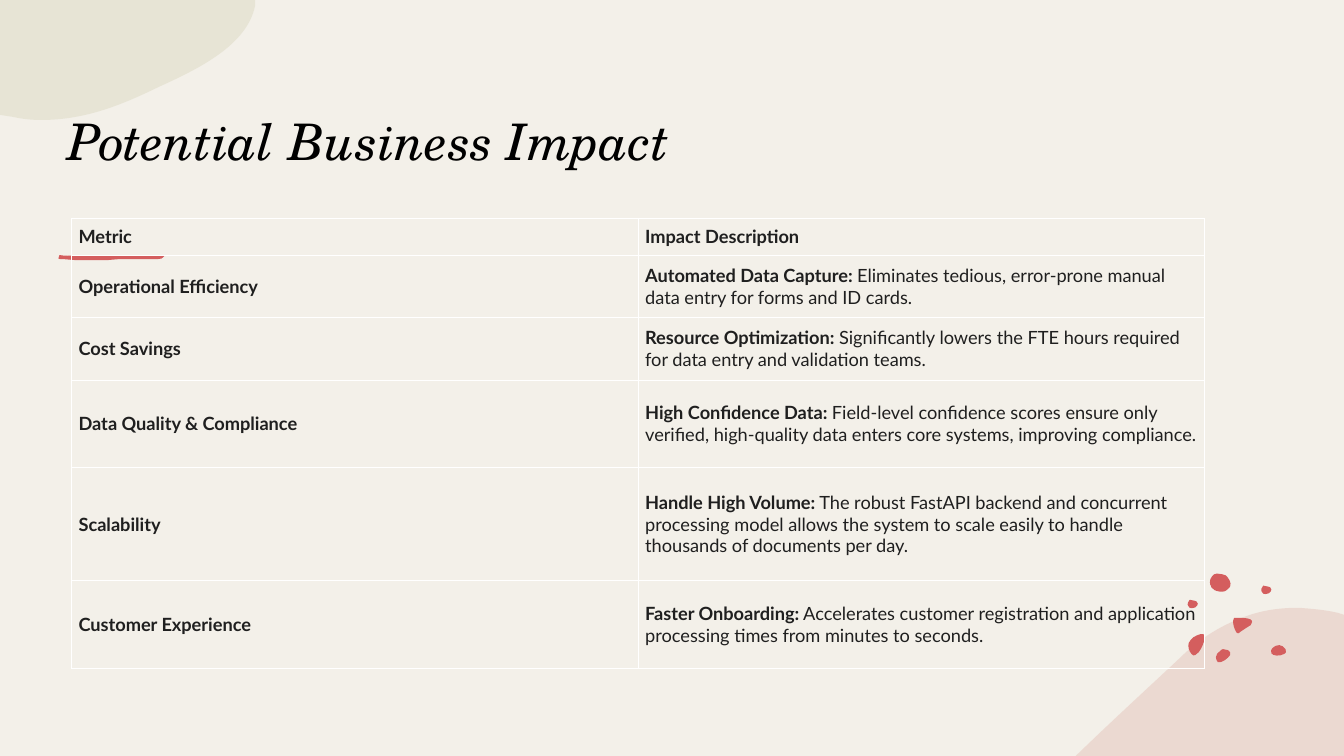
from lxml.etree import SubElement
from pptx import Presentation
from pptx.dml.color import RGBColor
from pptx.enum.text import MSO_ANCHOR as Anchor
from pptx.oxml import parse_xml
from pptx.oxml.ns import nsdecls, qn
from pptx.util import Pt

PX = 9144  # 100 px to the inch
WIDE, HIGH = 1333, 750

PAPER, INK, BLACK, WHITE = "F3F0E9", "1F1F1F", "000000", "FFFFFF"
RED, ROSE, OLIVE = "D45E5E", "E5C4BA", "DCD9C3"
BODY, HEAD = "Lato", "TeX Gyre Schola"

TITLE = "Potential Business Impact"
TITLE_BOX = (57, 18, 1102, 156)

TABLE_AT = (71, 217)
COLS = (562, 562)
ROWS = [  # height, metric, bold lead, description
    (36, "Metric", "Impact Description", ""),
    (62, "Operational Efficiency", "Automated Data Capture:",
     " Eliminates tedious, error-prone manual data entry for forms and ID cards."),
    (62, "Cost Savings", "Resource Optimization:",
     " Significantly lowers the FTE hours required for data entry and validation teams."),
    (87, "Data Quality & Compliance", "High Confidence Data:",
     " Field-level confidence scores ensure only verified, high-quality data enters "
     "core systems, improving compliance."),
    (112, "Scalability", "Handle High Volume:",
     " The robust FastAPI backend and concurrent processing model allows the system "
     "to scale easily to handle thousands of documents per day."),
    (87, "Customer Experience", "Faster Onboarding:",
     " Accelerates customer registration and application processing times from "
     "minutes to seconds."),
]

# Outlines: a pair is a corner, six numbers are a cubic curve.
HILL = [(1288, 603), (1301, 604, 1314, 605, 1327, 608), (1333, 610), (1333, 750),
        (1067, 750), (1068, 749), (1102, 716, 1137, 684, 1169, 654),
        (1191, 632, 1214, 619, 1237, 611), (1254, 605, 1271, 603, 1288, 603)]
CLOUD = [(0, 0), (253, 0), (253, 6), (245, 44, 200, 67, 158, 86),
         (123, 103, 86, 119, 41, 119), (31, 119, 22, 118, 13, 116), (0, 114)]
STROKE = [(59, 253), (64, 254, 70, 254, 75, 253), (88, 253), (111, 253), (133, 253),
          (164, 253), (161, 254, 163, 257, 157, 257), (119, 257), (107, 258), (86, 258),
          (75, 258), (71, 258, 65, 257, 60, 257), (57, 258, 58, 254, 59, 253)]
SPECK = [(0, 0), (1, 0), (1, 1)]
SPECKS_AT = [(58, 256), (60, 256), (163, 253)]
PEBBLE = [(0, 5), (0, 5, 0, 1, 2, 0), (4, 0, 5, 0, 7, 1), (8, 1, 10, 2, 10, 4),
          (10, 5, 9, 7, 8, 7), (8, 7, 8, 8, 6, 8), (5, 8, 3, 9, 2, 8), (1, 6, 0, 6, 0, 5)]
PEBBLES_AT = [(1251, 581), (1178, 595)]
DOTS = [
    [(1213, 644), (1215, 644, 1216, 644, 1218, 645), (1220, 646, 1221, 648, 1220, 650),
     (1218, 653, 1212, 658, 1208, 657), (1207, 656, 1206, 654, 1206, 652),
     (1206, 650, 1208, 647, 1210, 646), (1211, 645, 1212, 644, 1213, 644)],
    [(1191, 629), (1193, 629, 1195, 629, 1195, 631), (1195, 632, 1195, 632, 1195, 633),
     (1194, 638, 1192, 643, 1189, 647), (1187, 649, 1184, 652, 1182, 649),
     (1179, 646, 1178, 641, 1179, 638), (1180, 635, 1182, 634, 1184, 632),
     (1185, 632, 1188, 629, 1191, 629)],
    [(1269, 640), (1271, 640, 1274, 642, 1275, 644), (1276, 646, 1276, 648, 1273, 649),
     (1270, 651, 1262, 651, 1261, 648), (1260, 646, 1261, 644, 1262, 643),
     (1264, 641, 1266, 640, 1269, 640)],
    [(1201, 581), (1200, 581, 1199, 575, 1202, 572), (1204, 570, 1204, 569, 1207, 569),
     (1210, 569, 1214, 570, 1216, 571), (1218, 573, 1222, 578, 1220, 582),
     (1217, 585, 1216, 587, 1212, 587), (1209, 587, 1204, 586, 1203, 584),
     (1201, 583, 1201, 582, 1201, 581)],
    [(1228, 613), (1234, 613, 1245, 613, 1241, 619), (1241, 620, 1240, 621, 1239, 621),
     (1236, 623, 1233, 625, 1230, 627), (1229, 628, 1228, 629, 1227, 628),
     (1227, 628, 1226, 627, 1226, 627), (1224, 623, 1223, 620, 1223, 616),
     (1223, 615, 1223, 614, 1224, 613)],
]


def color(code):
    return RGBColor.from_string(code)


def bend(shape, parts, left, top):
    """Turn the straight segments of a freeform into its cubic curves."""
    lines = shape._element.findall(".//" + qn("a:lnTo"))
    for line, part in zip(lines, parts):
        if len(part) == 6:
            curve = parse_xml(f'<a:cubicBezTo {nsdecls("a")}/>')
            for x, y in zip(part[::2], part[1::2]):
                SubElement(curve, qn("a:pt"), x=str((x + left) * PX - shape.left),
                           y=str((y + top) * PX - shape.top))
            line.getparent().replace(line, curve)


def draw(slide, outline, fill, alpha=100, left=0, top=0):
    pts = [((part[-2] + left) * PX, (part[-1] + top) * PX) for part in outline]
    pen = slide.shapes.build_freeform(*pts[0])
    pen.add_line_segments(pts[1:], close=True)
    shape = pen.convert_to_shape()
    bend(shape, outline[1:], left, top)
    shape.shadow.inherit = False
    shape.fill.solid()
    shape.fill.fore_color.rgb = color(fill)
    shape.line.fill.background()
    if alpha < 100:
        tint = shape._element.spPr.find(".//" + qn("a:srgbClr"))
        SubElement(tint, qn("a:alpha"), val=str(alpha * 1000))


def write(frame, text, size=13, font=BODY, ink=INK, bold=False, italic=False):
    run = frame.paragraphs[0].add_run()
    run.text = text
    run.font.size, run.font.name = Pt(size), font
    run.font.bold, run.font.italic = bold, italic
    run.font.color.rgb = color(ink)


def rule(cell):
    """Give a cell thin white borders on all four sides."""
    props = cell._tc.get_or_add_tcPr()
    for i, side in enumerate("LRTB"):
        props.insert(i, parse_xml(
            f'<a:ln{side} {nsdecls("a")} w="{Pt(0.6)}"><a:solidFill>'
            f'<a:srgbClr val="{WHITE}"/></a:solidFill></a:ln{side}>'))


def add_grid(slide):
    high = sum(row[0] for row in ROWS)
    box = [n * PX for n in (*TABLE_AT, sum(COLS), high)]
    grid = slide.shapes.add_table(len(ROWS), len(COLS), *box).table
    grid.first_row = grid.horz_banding = False
    for col, wide in zip(grid.columns, COLS):
        col.width = wide * PX
    for row, (tall, metric, lead, rest) in zip(grid.rows, ROWS):
        row.height = tall * PX
        for cell, runs in zip(row.cells, ([metric], [lead, rest])):
            cell.fill.background()
            rule(cell)
            cell.vertical_anchor = Anchor.MIDDLE
            cell.margin_left = cell.margin_right = 7 * PX
            cell.margin_top = cell.margin_bottom = 5 * PX
            for i, text in enumerate(runs):
                if text:
                    write(cell.text_frame, text, bold=i == 0)


def main():
    deck = Presentation()
    deck.slide_width, deck.slide_height = WIDE * PX, HIGH * PX
    slide = deck.slides.add_slide(deck.slide_layouts[6])
    slide.background.fill.solid()
    slide.background.fill.fore_color.rgb = color(PAPER)

    draw(slide, HILL, ROSE, alpha=50)
    for dot in DOTS:
        draw(slide, dot, RED)
    for left, top in PEBBLES_AT:
        draw(slide, PEBBLE, RED, left=left, top=top)
    draw(slide, CLOUD, OLIVE, alpha=50)
    for left, top in SPECKS_AT:
        draw(slide, SPECK, RED, left=left, top=top)
    draw(slide, STROKE, RED)

    frame = slide.shapes.add_textbox(*[n * PX for n in TITLE_BOX]).text_frame
    frame.word_wrap = True
    frame.vertical_anchor = Anchor.BOTTOM
    write(frame, TITLE, size=36, font=HEAD, ink=BLACK, italic=True)
    add_grid(slide)
    deck.save("out.pptx")


if __name__ == "__main__":
    main()
